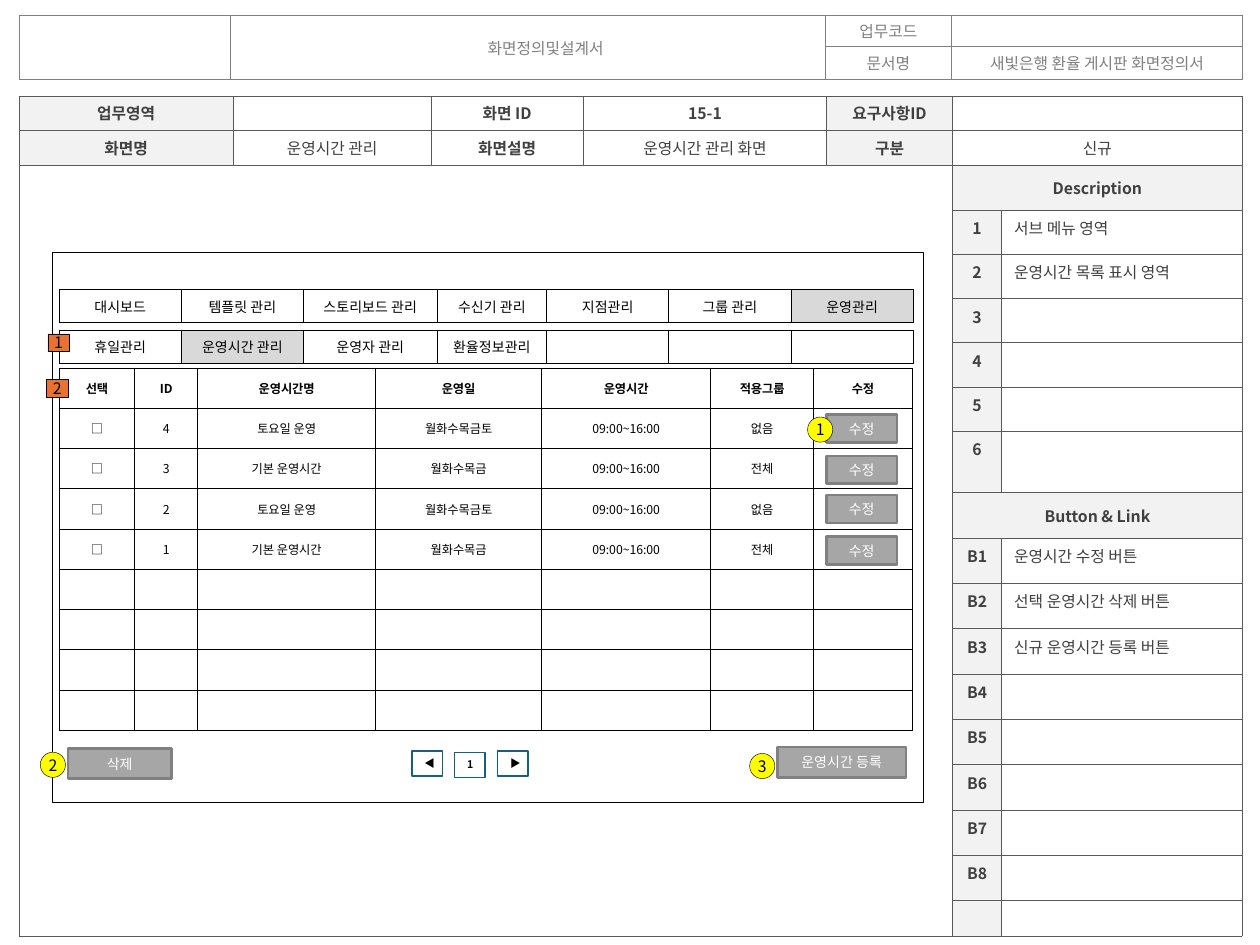
from lxml.etree import SubElement
from pptx import Presentation
from pptx.dml.color import RGBColor
from pptx.enum.shapes import MSO_SHAPE
from pptx.enum.text import MSO_ANCHOR, PP_ALIGN
from pptx.oxml.ns import qn
from pptx.util import Inches, Pt

COLORS = {
    "white": "FFFFFF", "black": "000000", "gray": "808080", "edge": "595959",
    "ink": "404040", "label": "F2F2F2", "active": "D9D9D9", "button": "A6A6A6",
    "orange": "E97132", "yellow": "FFFF00", "teal": "156082",
}
FONT = "Noto Sans CJK KR"

deck = Presentation()
deck.slide_width, deck.slide_height = Inches(10), Inches(7.5)
page = deck.slides.add_slide(deck.slide_layouts[6])
UNIT = deck.slide_width // 1000  # the page is a grid of 1000 columns by 750 rows


def write(frame, text, size, color, bold=False, align=PP_ALIGN.CENTER):
    """Put one styled paragraph in a text frame."""
    para = frame.paragraphs[0]
    para.alignment = align
    if text:
        para.add_run().text = text
        para.font.size, para.font.bold = Pt(size), bold
        para.font.name = FONT
        para.font.color.rgb = RGBColor.from_string(COLORS[color])
        properties = para._p.pPr.find(qn("a:defRPr"))
        SubElement(properties, qn("a:ea"), typeface=FONT)
    else:
        SubElement(para._p, qn("a:endParaRPr"), sz=str(size * 100))


def add_grid(left, top, columns, rows, texts, size, ink, edge, weight,
             bold=lambda r, c: False, shade=lambda r, c: "white",
             anchor=MSO_ANCHOR.MIDDLE):
    """Add a bordered table; bold and shade are rules on row and column."""
    table = page.shapes.add_table(
        len(rows), len(columns), left * UNIT, top * UNIT,
        sum(columns) * UNIT, sum(rows) * UNIT).table
    table.first_row = table.horz_banding = False
    for column, width in zip(table.columns, columns):
        column.width = width * UNIT
    for r, height in enumerate(rows):
        table.rows[r].height = height * UNIT
        for c in range(len(columns)):
            cell = table.cell(r, c)
            cell.vertical_anchor = anchor
            for side in "LRTB":
                line = SubElement(cell._tc.get_or_add_tcPr(), qn(f"a:ln{side}"),
                                  w=str(Pt(weight)))
                fill = SubElement(line, qn("a:solidFill"))
                SubElement(fill, qn("a:srgbClr"), val=COLORS[edge])
            cell.fill.solid()
            cell.fill.fore_color.rgb = RGBColor.from_string(COLORS[shade(r, c)])
            text = texts[r][c] if r < len(texts) else ""
            align = PP_ALIGN.LEFT if anchor == MSO_ANCHOR.TOP and c == 6 and r > 2 else PP_ALIGN.CENTER
            write(cell.text_frame, text, size, ink, bold(r, c), align)
    return table


# Document header
header = add_grid(
    15, 12, [168, 472, 100, 231], [25, 26],
    [["", "화면정의및설계서", "업무코드", ""],
     ["", "", "문서명", "새빛은행 환율 게시판 화면정의서"]],
    9, "gray", "gray", 0.25)
for cell in header.iter_cells():
    cell.margin_left = cell.margin_right = 8 * UNIT
    cell.margin_top = cell.margin_bottom = 0
header.cell(0, 1).margin_left = 36 * UNIT
for c in (0, 1):
    header.cell(0, c).merge(header.cell(1, c))

# Specification frame with the description column
descriptions = ["서브 메뉴 영역", "운영시간 목록 표시 영역", "", "", "", ""]
buttons = ["운영시간 수정 버튼", "선택 운영시간 삭제 버튼", "신규 운영시간 등록 버튼"] + [""] * 5
side_rows = [("Description", "")]
side_rows += [(str(n), text) for n, text in enumerate(descriptions, 1)]
side_rows += [("Button & Link", "")]
side_rows += [(f"B{n}", text) for n, text in enumerate(buttons, 1)]
side_rows += [("", "")]
spec_sheet = add_grid(
    15, 76, [170, 157, 121, 193, 100, 39, 191],
    [27, 28, 36] + [35] * 5 + [49] + [36] * 9 + [28],
    [["업무영역", "", "화면 ID", "15-1", "요구사항ID", "", ""],
     ["화면명", "운영시간 관리", "화면설명", "운영시간 관리 화면", "구분", "신규", ""]]
    + [[""] * 5 + list(pair) for pair in side_rows],
    9, "ink", "edge", 0.25,
    bold=lambda r, c: c != 6 and not (r == 1 and c in (1, 3, 5)),
    shade=lambda r, c: "label" if (r < 2 and c in (0, 4)) or (r > 1 and c == 5) else "white",
    anchor=MSO_ANCHOR.TOP)
for r in (0, 1, 2, 9):
    for c in range(7):
        cell = spec_sheet.cell(r, c)
        cell.vertical_anchor = MSO_ANCHOR.MIDDLE
        if r < 2:
            cell.margin_top = cell.margin_bottom = 0
    spec_sheet.cell(r, 5).merge(spec_sheet.cell(r, 6))
for r in range(10, 18):
    cell = spec_sheet.cell(r, 5)
    cell.margin_left = cell.margin_right = 4 * UNIT
spec_sheet.cell(2, 0).merge(spec_sheet.cell(18, 4))

# Screen outline
screen = page.shapes.add_shape(MSO_SHAPE.RECTANGLE, 42 * UNIT, 200 * UNIT, 691 * UNIT, 437 * UNIT)
screen.shadow.inherit = False
screen.fill.solid()
screen.fill.fore_color.rgb = RGBColor.from_string(COLORS["white"])
screen.line.color.rgb = RGBColor.from_string(COLORS["black"])
screen.line.width = Pt(0.5)

# Main menu and sub menu, each with its active tab
menus = [
    (230, 6, ["대시보드", "템플릿 관리", "스토리보드 관리", "수신기 관리",
              "지점관리", "그룹 관리", "운영관리"]),
    (262, 1, ["휴일관리", "운영시간 관리", "운영자 관리", "환율정보관리", "", "", ""]),
]
for top, active, tabs in menus:
    add_grid(47, top, [97, 97, 106, 87, 97, 97, 97], [26], [tabs], 8, "black", "black", 0.5,
             shade=lambda r, c: "active" if c == active else "white")

# Operating hours list
weekday = ["기본 운영시간", "월화수목금", "09:00~16:00", "전체", ""]
saturday = ["토요일 운영", "월화수목금토", "09:00~16:00", "없음", ""]
hours = [["선택", "ID", "운영시간명", "운영일", "운영시간", "적용그룹", "수정"]]
hours += [["□", str(n)] + (weekday if n % 2 else saturday) for n in (4, 3, 2, 1)]
add_grid(47, 292, [60, 50, 141, 132, 134, 82, 78], [32] * 9, hours,
         7, "black", "black", 0.5, bold=lambda r, c: r == 0)

# Buttons, area tags, numbered markers and pager
KINDS = {  # shape, fill, line, line width, text size, text color
    "button": (MSO_SHAPE.RECTANGLE, "button", "gray", 1.5, 8, "white"),
    "tag": (MSO_SHAPE.RECTANGLE, "orange", "black", 0.25, 9, "black"),
    "marker": (MSO_SHAPE.OVAL, "yellow", "black", 0.25, 9, "black"),
    "pager": (MSO_SHAPE.RECTANGLE, "white", "teal", 0.75, 6, "black"),
}
controls = [("button", 617, 593, 102, 24, "운영시간 등록"), ("button", 54, 594, 82, 24, "삭제")]
controls += [("button", 656, top, 56, 22, "수정") for top in (329, 362, 393, 426)]
controls += [("tag", 38, 265, 17, 14, "1"), ("tag", 37, 301, 17, 14, "2")]
controls += [("marker", left, top, 20, 20, text)
             for left, top, text in ((641, 331, "1"), (32, 597, "2"), (595, 598, "3"))]
controls += [("pager", left, top, 24, 20, text)
             for left, top, text in ((361, 597, "1"), (327, 596, "◀"), (395, 596, "▶"))]
pager = page.shapes.add_group_shape()
for kind, left, top, width, height, text in controls:
    preset, fill, edge, weight, size, ink = KINDS[kind]
    parent = pager if kind == "pager" else page
    box = parent.shapes.add_shape(preset, left * UNIT, top * UNIT, width * UNIT, height * UNIT)
    box.shadow.inherit = False
    box.fill.solid()
    box.fill.fore_color.rgb = RGBColor.from_string(COLORS[fill])
    box.line.color.rgb = RGBColor.from_string(COLORS[edge])
    box.line.width = Pt(weight)
    frame = box.text_frame
    frame.word_wrap = True
    frame.vertical_anchor = MSO_ANCHOR.TOP if kind == "pager" else MSO_ANCHOR.MIDDLE
    if kind in ("tag", "marker"):
        frame.margin_left = frame.margin_right = frame.margin_top = frame.margin_bottom = 0
    write(frame, text, size, ink, kind == "pager",
          PP_ALIGN.LEFT if kind == "pager" else PP_ALIGN.CENTER)

deck.save("out.pptx")
